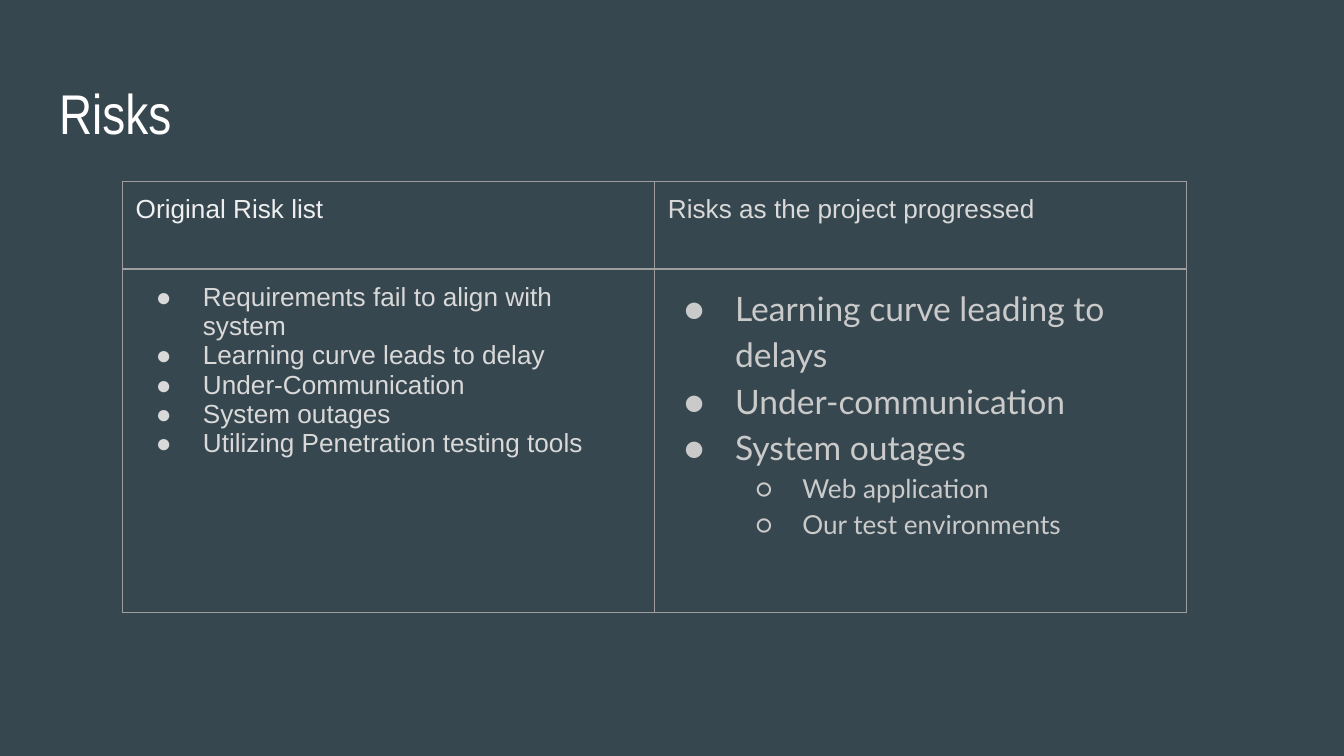
from lxml.etree import SubElement
from pptx import Presentation
from pptx.dml.color import RGBColor
from pptx.enum.text import MSO_ANCHOR, MSO_AUTO_SIZE, PP_ALIGN
from pptx.oxml.ns import qn
from pptx.util import Inches, Pt

WIDTH = 10
HEIGHT = WIDTH * 9 / 16


def rgb(color):
    return RGBColor.from_string(color)


class RiskSlide:
    background = "37474F"
    border = "9E9E9E"
    inset = Inches(0.1)
    markers = ("●", "○")

    def __init__(self, prs):
        self.slide = prs.slides.add_slide(prs.slide_layouts[5])
        fill = self.slide.background.fill
        fill.solid()
        fill.fore_color.rgb = rgb(self.background)

    def place(self, x, y, w, h):
        """Turn percentages of the slide's size into lengths."""
        return [Inches(share * side / 100) for share, side in
                ((x, WIDTH), (y, HEIGHT), (w, WIDTH), (h, HEIGHT))]

    def run(self, p, text, size, font, color):
        r = p.add_run()
        r.text = text
        r.font.size = Pt(size)
        r.font.name = font
        r.font.bold = False
        r.font.color.rgb = rgb(color)

    def title(self, text, box):
        sp = self.slide.shapes.title
        sp.left, sp.top, sp.width, sp.height = self.place(*box)
        tf = sp.text_frame
        tf.word_wrap = True
        tf.auto_size = MSO_AUTO_SIZE.NONE
        tf.vertical_anchor = MSO_ANCHOR.TOP
        tf.margin_left = tf.margin_right = self.inset
        tf.margin_top = tf.margin_bottom = self.inset
        p = tf.paragraphs[0]
        p.alignment = PP_ALIGN.LEFT
        self.run(p, text, 30, "Arial Narrow", "FFFFFF")

    def table(self, box, row_shares):
        x, y, w, h = self.place(*box)
        table = self.slide.shapes.add_table(len(row_shares), 2, x, y, w, h).table
        table.first_row = table.horz_banding = False
        for row, share in zip(table.rows, row_shares):
            row.height = int(h * share / sum(row_shares))
        for cell in table.iter_cells():
            cell.margin_left = cell.margin_right = self.inset
            cell.margin_top = cell.margin_bottom = self.inset
            self.cell_borders(cell)
            cell.fill.background()
        return table

    def cell_borders(self, cell):
        tcPr = cell._tc.get_or_add_tcPr()
        for side in ("a:lnL", "a:lnR", "a:lnT", "a:lnB"):
            line = SubElement(tcPr, qn(side), w=str(Pt(0.75)))
            fill = SubElement(line, qn("a:solidFill"))
            SubElement(fill, qn("a:srgbClr"), val=self.border)

    def bullet(self, p, level, hanging, font, color):
        p.level = level
        pPr = p._p.get_or_add_pPr()
        pPr.set("marL", str(Inches(0.5 * (level + 1))))
        pPr.set("indent", str(-Inches(hanging)))
        marker_color = SubElement(pPr, qn("a:buClr"))
        SubElement(marker_color, qn("a:srgbClr"), val=color)
        SubElement(pPr, qn("a:buFont"), typeface=font)
        SubElement(pPr, qn("a:buChar"), char=self.markers[level])

    def bullets(self, cell, items, font, color, spacing=None):
        tf = cell.text_frame
        for i, (text, level, size) in enumerate(items):
            p = tf.add_paragraph() if i else tf.paragraphs[0]
            if spacing:
                p.line_spacing = spacing
            self.bullet(p, level, 0.38 if size > 14 else 0.35, font, color)
            self.run(p, text, size, font, color)


def main():
    prs = Presentation()
    prs.slide_width, prs.slide_height = Inches(WIDTH), Inches(HEIGHT)
    s = RiskSlide(prs)

    s.title("Risks", (3.4, 8.65, 93.2, 11.2))

    # Heading row
    table = s.table((9.1, 24, 79.2, 57), (0.65, 2.55))
    headings = (("Original Risk list", "EFEFEF"),
                ("Risks as the project progressed", "D9D9D9"))
    for col, (text, color) in enumerate(headings):
        p = table.cell(0, col).text_frame.paragraphs[0]
        s.run(p, text, 14, "Arial", color)

    # Original risks
    original = ("Requirements fail to align with system",
                "Learning curve leads to delay",
                "Under-Communication",
                "System outages",
                "Utilizing Penetration testing tools")
    s.bullets(table.cell(1, 0), [(text, 0, 14) for text in original],
              "Arial", "D9D9D9")

    # Risks as the project progressed
    progressed = (("Learning curve leading to delays", 0, 18),
                  ("Under-communication", 0, 18),
                  ("System outages", 0, 18),
                  ("Web application", 1, 14),
                  ("Our test environments", 1, 14))
    s.bullets(table.cell(1, 1), progressed, "Lato", "CACACA", 1.15)

    prs.save("out.pptx")


if __name__ == "__main__":
    main()
